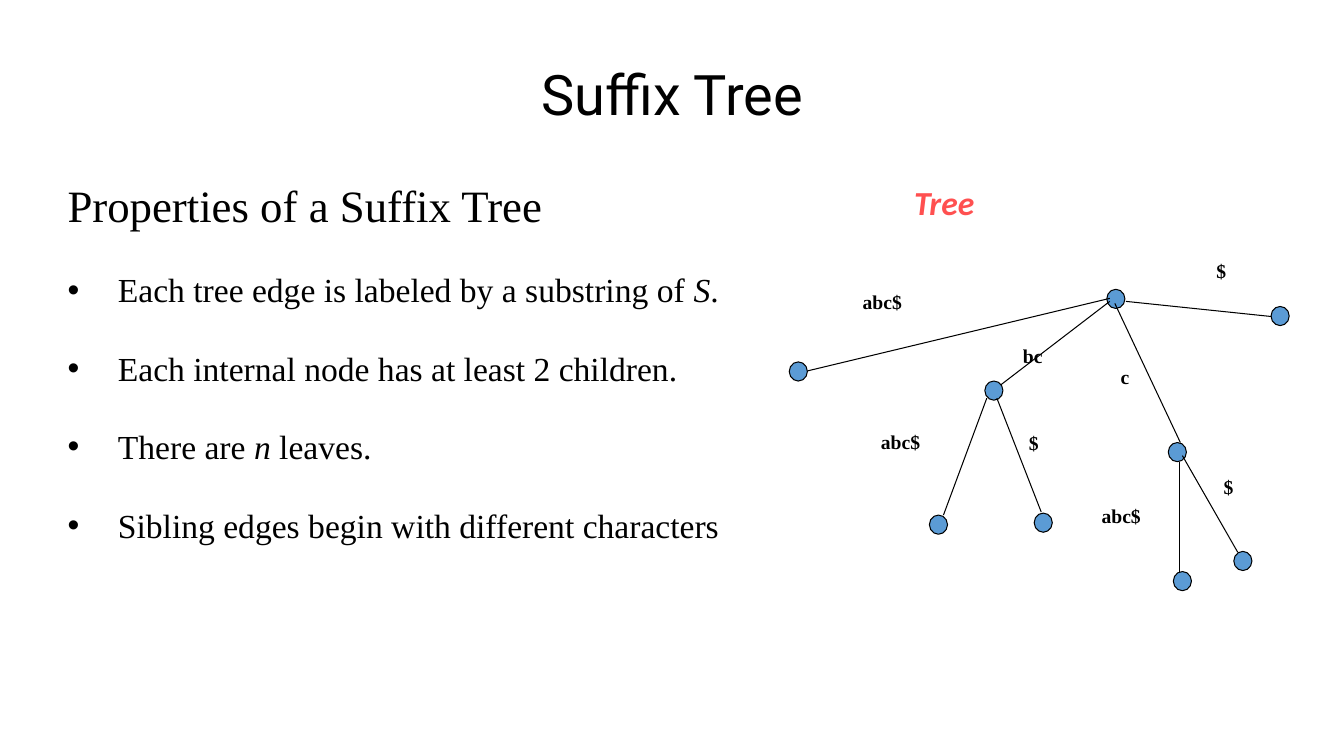
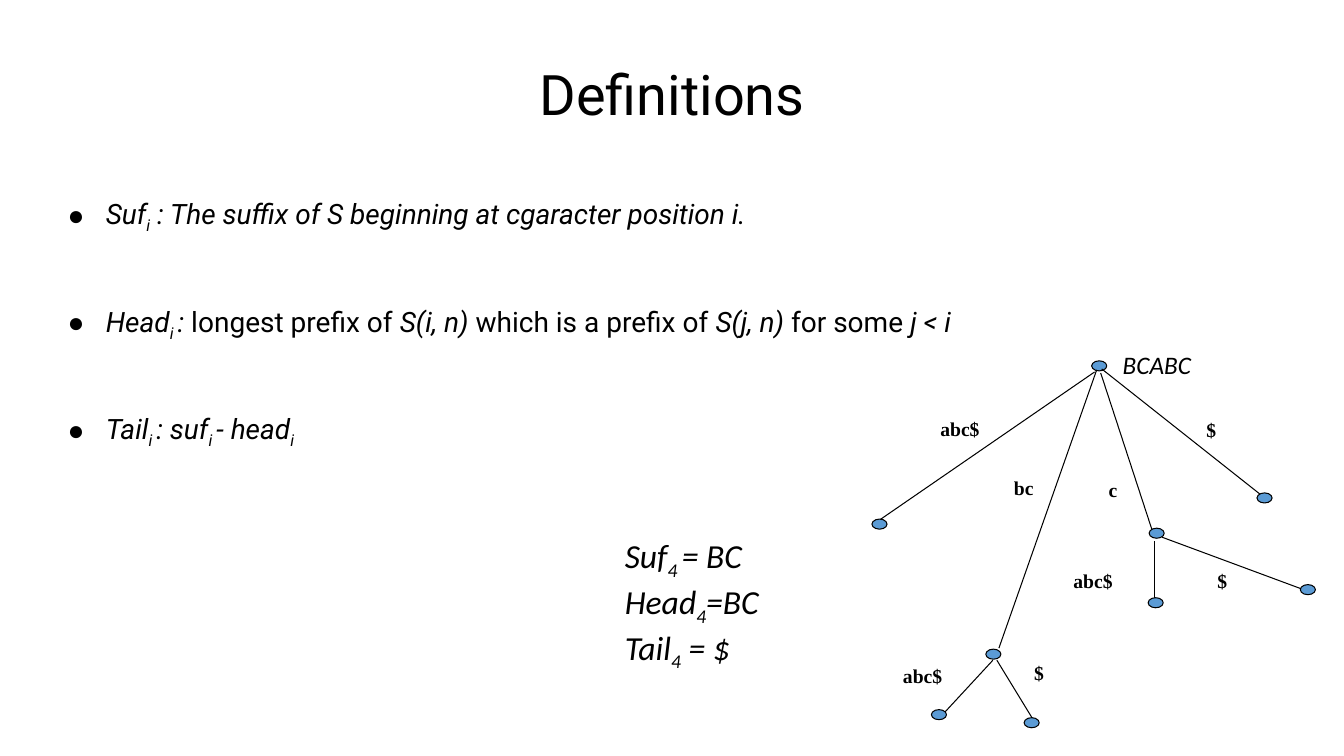
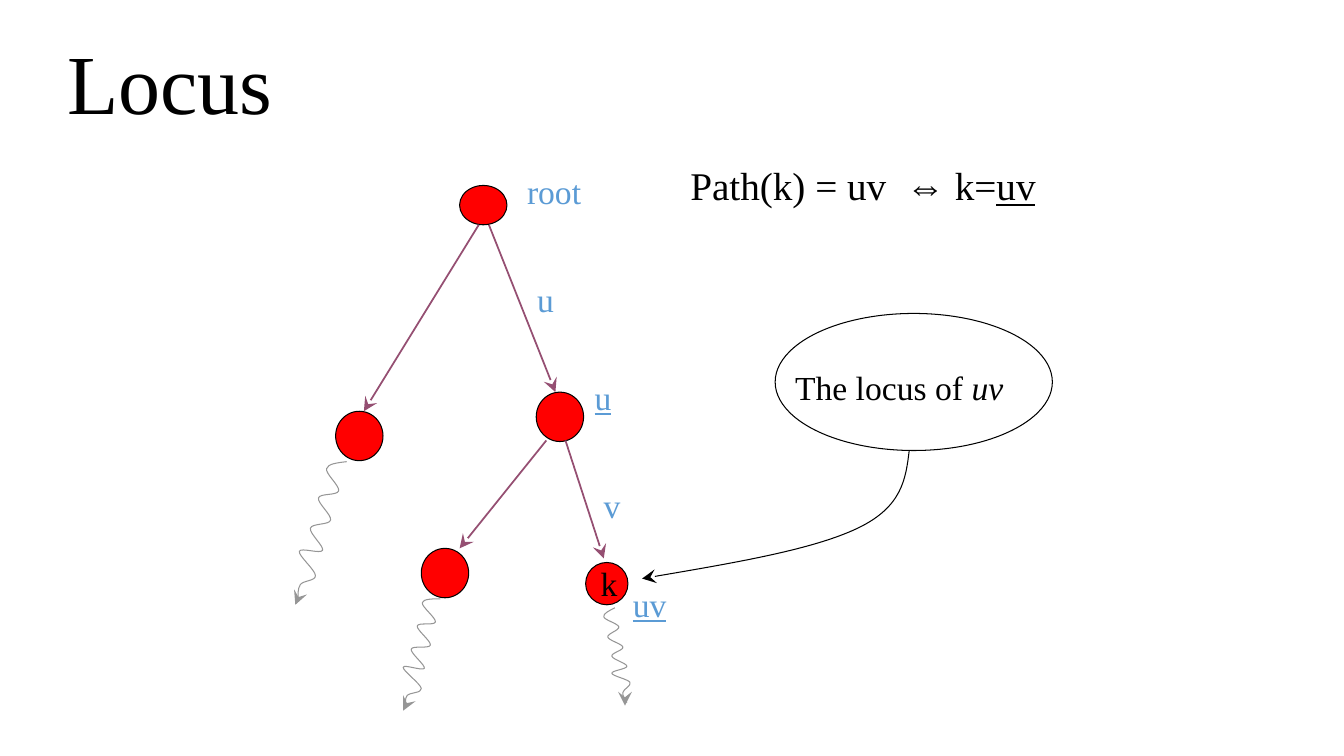
import pptx
import pptx.dml.color
import pptx.enum.shapes
import pptx.enum.text
import pptx.oxml.ns
import pptx.util
from lxml import etree

Inches = pptx.util.Inches
Pt = pptx.util.Pt
RGBColor = pptx.dml.color.RGBColor
ALIGN = pptx.enum.text.PP_ALIGN
ANCHOR = pptx.enum.text.MSO_ANCHOR
qn = pptx.oxml.ns.qn

# Shared style
BLACK = RGBColor(0x00, 0x00, 0x00)
BLUE = RGBColor(0x5B, 0x9B, 0xD5)
RED = RGBColor(0xFF, 0x00, 0x00)
CORAL = RGBColor(0xFF, 0x50, 0x50)
PLUM = RGBColor(0x95, 0x4F, 0x72)
GREY = RGBColor(0x96, 0x96, 0x96)
SERIF, SANS, CALIBRI = "Times New Roman", "Roboto", "Calibri"
SLIDE_HEIGHT = 7.5
SLIDE_WIDTH = SLIDE_HEIGHT * 16 / 9
TITLE_BOX = (0.67, 0.3, 12, 1.25)
BODY_LEFT, BODY_TOP, BODY_WIDTH = 0.67, 1.76, 12
THIN = 0.75

# Content. A span is (text, marks): i italic, b bold, u underline, s subscript.
PROPERTIES_HEADING = "Properties of a Suffix Tree"
PROPERTIES = [
    [("Each tree edge is labeled by a substring of ", ""), ("S", "i"), (".", "")],
    [("Each internal node has at least 2 children.", "")],
    [("There are ", ""), ("n", "i"), (" leaves.", "")],
    [("Sibling edges begin with different characters", "")],
]
DEFINITIONS = [
    [("Suf", "i"), ("i", "is"),
     (" : The suffix of S beginning at cgaracter position i.", "i")],
    [("Head", "i"), ("i ", "is"), (": ", "i"), ("longest prefix of ", ""),
     ("S(i, n) ", "i"), ("which is a prefix of ", ""), ("S(j, n) ", "i"),
     ("for some ", ""), ("j < i", "i")],
    [("Tail", "i"), ("i ", "is"), (": suf", "i"), ("i ", "is"),
     ("- head", "i"), ("i", "is")],
]
EXAMPLE = [
    [("Suf", "i"), ("4 ", "is"), ("= BC", "i")],
    [("Head", "i"), ("4", "is"), ("=BC", "i")],
    [("Tail", "i"), ("4", "is"), (" = $", "i")],
]

# Suffix trees. Each edge: label, label corner, line start, line end, child corner
PROPERTY_TREE = {
    "root": (10.98, 2.87), "node": (0.18, 0.19), "label_height": 0.66,
    "label_widths": {"$": 0.55, "c": 0.53, "bc": 0.73, "abc$": 1.09},
    "edges": [
        ("$", (11.97, 2.52), (11.17, 2.99), (12.61, 3.14), (12.61, 3.04)),
        ("c", (11.02, 3.57), (11.06, 3.01), (11.71, 4.39), (11.59, 4.39)),
        ("$", (12.04, 4.66), (11.73, 4.52), (12.28, 5.48), (12.24, 5.47)),
        ("abc$", (10.83, 4.95), (11.7, 4.58), (11.7, 5.78), (11.64, 5.67)),
        ("bc", (10.05, 3.36), (11.01, 2.99), (9.9, 3.84), (9.77, 3.78)),
        ("$", (10.11, 4.23), (9.89, 3.95), (10.33, 5.08), (10.26, 5.09)),
        ("abc$", (8.64, 4.22), (9.79, 3.95), (9.36, 5.11), (9.22, 5.11)),
        ("abc$", (8.46, 2.83), (11.01, 2.96), (8.01, 3.68), (7.83, 3.59)),
    ],
}
DEFINITION_TREE = {
    "root": (10.83, 3.58), "node": (0.15, 0.1), "label_height": 0.35,
    "label_widths": {"$": 0.45, "c": 0.43, "bc": 0.59, "abc$": 0.88},
    "edges": [
        ("$", (11.87, 4.1), (10.93, 3.66), (12.51, 4.91), (12.47, 4.89)),
        ("c", (10.9, 4.69), (10.92, 3.7), (11.43, 5.26), (11.4, 5.24)),
        ("$", (11.98, 5.59), (11.53, 5.33), (12.96, 5.86), (12.9, 5.8)),
        ("abc$", (10.55, 5.59), (11.45, 5.37), (11.45, 6), (11.39, 5.93)),
        ("bc", (9.96, 4.67), (10.88, 3.67), (9.91, 6.43), (9.78, 6.44)),
        ("$", (10.16, 6.51), (9.89, 6.55), (10.25, 7.14), (10.16, 7.12)),
        ("abc$", (8.86, 6.54), (9.85, 6.55), (9.36, 7.08), (9.24, 7.04)),
        ("abc$", (9.23, 4.09), (10.86, 3.69), (8.71, 5.17), (8.65, 5.15)),
    ],
}

# Locus diagram
LOCUS_NODES = [(4.56, 1.84, 0.47, 0.39), (5.32, 3.89, 0.47, 0.49),
               (3.33, 4.08, 0.47, 0.49), (4.18, 5.44, 0.47, 0.49)]
LOCUS_K = (5.81, 5.58, 0.42, 0.42)
LOCUS_ARROWS = [((4.85, 2.23), (5.51, 3.89)), ((5.61, 4.37), (5.99, 5.54)),
                ((5.42, 4.37), (4.56, 5.44)), ((4.75, 2.23), (3.61, 4.08))]
LOCUS_LABELS = [("root", "", (5.13, 1.65, 0.85, 0.58)),
                ("u", "", (5.23, 2.72, 0.66, 0.58)),
                ("v", "", (5.89, 4.76, 0.66, 0.58)),
                ("uv", "u", (6.18, 5.74, 0.85, 0.58)),
                ("u", "u", (5.8, 3.69, 0.47, 0.58))]
# Each wave: its turning points, then the ends of its arrow tip
WAVES = [
    ([(6.1, 6.03), (5.99, 6.12), (6.14, 6.22), (6.03, 6.32), (6.18, 6.42),
      (6.07, 6.51), (6.22, 6.61), (6.07, 6.68), (6.25, 6.77), (6.18, 6.87),
      (6.22, 6.97)], (6.2, 6.97), (6.2, 7)),
    ([(3.44, 4.58), (3.24, 4.65), (3.36, 4.87), (3.16, 4.94), (3.28, 5.16),
      (3.08, 5.24), (3.2, 5.46), (2.97, 5.47), (3.13, 5.71), (2.98, 5.8),
      (2.96, 5.96)], (2.95, 5.95), (2.93, 6)),
    ([(4.37, 5.94), (4.19, 5.98), (4.32, 6.17), (4.14, 6.21), (4.27, 6.4),
      (4.08, 6.44), (4.21, 6.63), (4, 6.62), (4.18, 6.83), (4.04, 6.9),
      (4.03, 7.02)], (4.02, 7.01), (4, 7.05)),
]
CALLOUT_CURVE = [(6.37, 5.74), (8.51, 5.24), (9.02, 4.47)]
CALLOUT_OVAL = (7.69, 3.11, 2.75, 1.36)


def inches(values):
    return [Inches(value) for value in values]


def write_spans(para, spans, size, font, color):
    for text, marks in spans:
        span = para.add_run()
        span.text = text
        span.font.name, span.font.size = font, Pt(size)
        span.font.color.rgb = color
        span.font.italic = "i" in marks
        span.font.bold = "b" in marks
        span.font.underline = "u" in marks
        if "s" in marks:
            span._r.get_or_add_rPr().set("baseline", "-25000")


def add_text(page, place, paragraphs, size, font, color=BLACK, inset=True):
    box = page.shapes.add_textbox(*inches(place))
    frame = box.text_frame
    frame.word_wrap = True
    if not inset:
        frame.margin_left = frame.margin_right = 0
        frame.margin_top = frame.margin_bottom = 0
    for index, spans in enumerate(paragraphs):
        para = frame.add_paragraph() if index else frame.paragraphs[0]
        write_spans(para, spans, size, font, color)
    return box


def indent(para, left, hanging=0, bullet=None):
    properties = para._p.get_or_add_pPr()
    properties.set("marL", str(Inches(left)))
    properties.set("indent", str(-Inches(hanging)))
    if bullet:
        for tag, key, value in (("a:buFont", "typeface", "Arial"),
                                ("a:buChar", "char", bullet)):
            etree.SubElement(properties, qn(tag)).set(key, value)


def format_list(paragraphs, hanging, bullet, gap, first_gap):
    for index, para in enumerate(paragraphs):
        indent(para, hanging, hanging, bullet)
        para.line_spacing = 1.5
        para.space_before = Pt(gap if index else first_gap)


def add_oval(page, place, fill=None):
    oval = page.shapes.add_shape(pptx.enum.shapes.MSO_SHAPE.OVAL, *inches(place))
    oval.shadow.inherit = False
    if fill is None:
        oval.fill.background()
    else:
        oval.fill.solid()
        oval.fill.fore_color.rgb = fill
    oval.line.color.rgb, oval.line.width = BLACK, Pt(THIN)


def style_line(shape, color, width, arrow_end=None):
    shape.line.color.rgb, shape.line.width = color, Pt(width)
    if arrow_end:
        outline = shape.line._get_or_add_ln()
        arrow = etree.SubElement(outline, qn("a:" + arrow_end))
        for key, value in (("type", "stealth"), ("w", "lg"), ("len", "lg")):
            arrow.set(key, value)


def add_line(page, start, end, color=BLACK, width=THIN, arrow_end=None):
    line = page.shapes.add_connector(
        pptx.enum.shapes.MSO_CONNECTOR.STRAIGHT, *inches(start + end))
    style_line(line, color, width, arrow_end)
    etree.SubElement(line._element.spPr, qn("a:effectLst"))


def curve_controls(points):
    """The two control points of each Bezier segment through the points."""
    def shift(point, before, after, sign):
        return tuple(p + sign * (b - a) / 6 for p, a, b in zip(point, before, after))

    def middle(first, second):
        return tuple((a + b) / 2 for a, b in zip(first, second))

    last = len(points) - 2
    controls = []
    for index in range(last + 1):
        start, end = points[index:index + 2]
        leaving = shift(start, points[index - 1], end, 1) if index else None
        arriving = shift(end, start, points[index + 2], -1) if index < last else None
        controls.append((leaving or middle(start, arriving),
                         arriving or middle(end, leaving)))
    return controls


def add_curve(page, points, color, arrow_end=None):
    start, *rest = [tuple(inches(point)) for point in points]
    builder = page.shapes.build_freeform(*start)
    builder.add_line_segments(rest, close=False)
    curve = builder.convert_to_shape()
    curve.shadow.inherit = False
    curve.fill.background()
    style_line(curve, color, THIN, arrow_end)
    # Turn the straight segments into Bezier ones
    segments = list(curve._element.iter(qn("a:lnTo")))
    for segment, controls in zip(segments, curve_controls(points)):
        bend = etree.Element(qn("a:cubicBezTo"))
        for x, y in controls:
            point = etree.SubElement(bend, qn("a:pt"))
            point.set("x", str(Inches(x) - curve.left))
            point.set("y", str(Inches(y) - curve.top))
        bend.append(segment[0])
        segment.getparent().replace(segment, bend)


def add_page(deck, title, size=40, font=SANS, centred=True):
    page = deck.slides.add_slide(deck.slide_layouts[6])
    box = add_text(page, TITLE_BOX, [[(title, "")]], size, font, inset=False)
    if centred:
        box.text_frame.vertical_anchor = ANCHOR.MIDDLE
        box.text_frame.paragraphs[0].alignment = ALIGN.CENTER
    return page


def add_tree(page, tree):
    add_oval(page, tree["root"] + tree["node"], BLUE)
    for label, corner, start, end, child in tree["edges"]:
        add_line(page, start, end)
        add_oval(page, child + tree["node"], BLUE)
        extent = (tree["label_widths"][label], tree["label_height"])
        add_text(page, corner + extent, [[(label, "b")]], 14, SERIF)


def build_properties(deck):
    page = add_page(deck, "Suffix Tree", 39.9)
    body = add_text(page, (BODY_LEFT, BODY_TOP, BODY_WIDTH, 4.35),
                    [[(PROPERTIES_HEADING, "")]] + PROPERTIES, 24, SERIF, inset=False)
    heading, *items = body.text_frame.paragraphs
    heading.runs[0].font.size = Pt(32)
    format_list(items, 0.5, "•", 12.8, 12.8)
    add_tree(page, PROPERTY_TREE)
    add_text(page, (8.97, 1.76, 1.67, 0.99), [[("Tree", "bi")]], 24, CALIBRI, CORAL)


def build_definitions(deck):
    page = add_page(deck, "Definitions", 39.9)
    body = add_text(page, (BODY_LEFT, BODY_TOP, BODY_WIDTH, 5.52),
                    DEFINITIONS, 20, SANS, inset=False)
    format_list(body.text_frame.paragraphs, 0.38, "●", 36, 0)
    add_tree(page, DEFINITION_TREE)
    add_text(page, (11.04, 3.42, 1.74, 0.42), [[("BCABC", "i")]], 18, CALIBRI)
    example = add_text(page, (5.1, 5.26, 2.99, 1.72), EXAMPLE, 24, CALIBRI)
    for para in example.text_frame.paragraphs:
        indent(para, 1)


def build_locus(deck):
    page = add_page(deck, "Locus", 60, SERIF, centred=False)
    # Tree nodes, edges and labels
    for place in LOCUS_NODES:
        add_oval(page, place, RED)
    for start, end in LOCUS_ARROWS:
        add_line(page, start, end, PLUM, 1.25, "tailEnd")
    for text, marks, place in LOCUS_LABELS:
        add_text(page, place, [[(text, marks)]], 24, SERIF, BLUE)
    # Path statement and callout
    add_text(page, (6.75, 1.55, 4.37, 0.66),
             [[("Path(k) = uv  ⇔ k=", ""), ("uv", "u")]], 28, SERIF)
    add_curve(page, CALLOUT_CURVE, BLACK, "headEnd")
    add_text(page, (7.79, 3.59, 3.61, 0.5),
             [[("The locus of ", ""), ("uv", "i")]], 24, SERIF)
    add_oval(page, CALLOUT_OVAL)
    # Subtrees below the leaves
    for points, tip_start, tip_end in WAVES:
        add_curve(page, points, GREY)
        add_line(page, tip_start, tip_end, GREY, 1.75, "tailEnd")
    # Node k
    add_oval(page, LOCUS_K, RED)
    add_text(page, (5.86, 5.54, 0.33, 0.5), [[("k", "")]], 24, SERIF)


def main():
    deck = pptx.Presentation()
    deck.slide_width, deck.slide_height = inches((SLIDE_WIDTH, SLIDE_HEIGHT))
    build_properties(deck)
    build_definitions(deck)
    build_locus(deck)
    deck.save("out.pptx")


if __name__ == "__main__":
    main()
